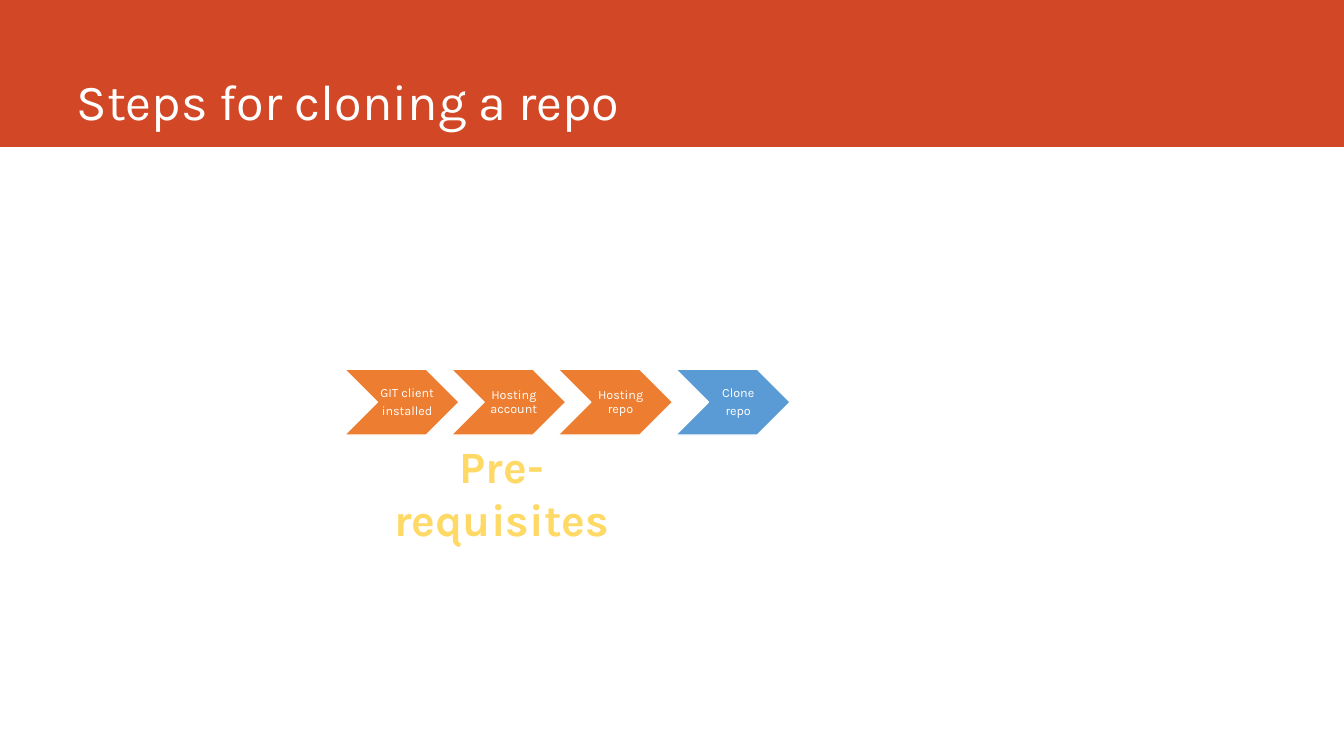
import pptx
import pptx.util
import pptx.dml.color
import pptx.enum.shapes
import pptx.enum.text

Pt = pptx.util.Pt
SHAPE = pptx.enum.shapes.MSO_SHAPE
ALIGN = pptx.enum.text.PP_ALIGN
ANCHOR = pptx.enum.text.MSO_ANCHOR


def color(hex_string):
    return pptx.dml.color.RGBColor.from_string(hex_string)


def format_text(paragraph, size, hex_string, align, bold=False):
    paragraph.alignment = align
    paragraph.font.name = "Karla"
    paragraph.font.size = Pt(size)
    paragraph.font.bold = bold
    paragraph.font.color.rgb = color(hex_string)


deck = pptx.Presentation()
deck.slide_width, deck.slide_height = Pt(960), Pt(540)
slide = deck.slides.add_slide(deck.slide_layouts[5])

# Header band, placed behind the title
band = slide.shapes.add_shape(SHAPE.RECTANGLE, 0, 0, Pt(960), Pt(105))
band.shadow.inherit = False
band.fill.solid()
band.fill.fore_color.rgb = color("D24726")
band.line.fill.background()
slide.shapes._spTree.insert(2, band._element)

title = slide.shapes.title
title.left, title.top, title.width, title.height = Pt(47.5), Pt(0), Pt(847), Pt(95)
title.text_frame.text = "Steps for cloning a repo"
title.text_frame.auto_size = pptx.enum.text.MSO_AUTO_SIZE.NONE
title.text_frame.vertical_anchor = ANCHOR.BOTTOM
title.text_frame.margin_bottom = Pt(2)
format_text(title.text_frame.paragraphs[0], 36, "FFFFFF", ALIGN.LEFT)

# Three prerequisites, then the cloning step after a wider gap
STEP_TOP, STEP_HEIGHT = 263.75, 47
steps = [
    (246, "ED7D31", "GIT client\ninstalled"),
    (322.25, "ED7D31", "Hosting account"),
    (398.5, "ED7D31", "Hosting repo"),
    (482.5, "5B9BD5", "Clone\nrepo"),
]
for left, fill, wording in steps:
    step = slide.shapes.add_group_shape()
    chevron = step.shapes.add_shape(
        SHAPE.CHEVRON, Pt(left), Pt(STEP_TOP), Pt(82), Pt(STEP_HEIGHT))
    chevron.shadow.inherit = False
    chevron.fill.solid()
    chevron.fill.fore_color.rgb = color(fill)
    chevron.line.color.rgb = color("FFFFFF")
    chevron.line.width = Pt(1)

    label = step.shapes.add_textbox(
        Pt(left + 2.5), Pt(STEP_TOP), Pt(71), Pt(STEP_HEIGHT)).text_frame
    label.word_wrap = True
    label.vertical_anchor = ANCHOR.MIDDLE
    label.margin_left = Pt(20)
    label.margin_right = label.margin_top = label.margin_bottom = Pt(6.5)
    label.text = wording
    for paragraph in label.paragraphs:
        format_text(paragraph, 9, "FFFFFF", ALIGN.CENTER)
        paragraph.line_spacing = 0.9
        paragraph.space_after = Pt(3)

prerequisites = slide.shapes.add_textbox(
    Pt(246), Pt(309.5), Pt(225), Pt(46)).text_frame
prerequisites.word_wrap = True
prerequisites.margin_left = prerequisites.margin_right = Pt(14)
prerequisites.text = "Pre-requisites"
format_text(prerequisites.paragraphs[0], 32, "FFD966", ALIGN.CENTER, bold=True)

deck.save("out.pptx")
